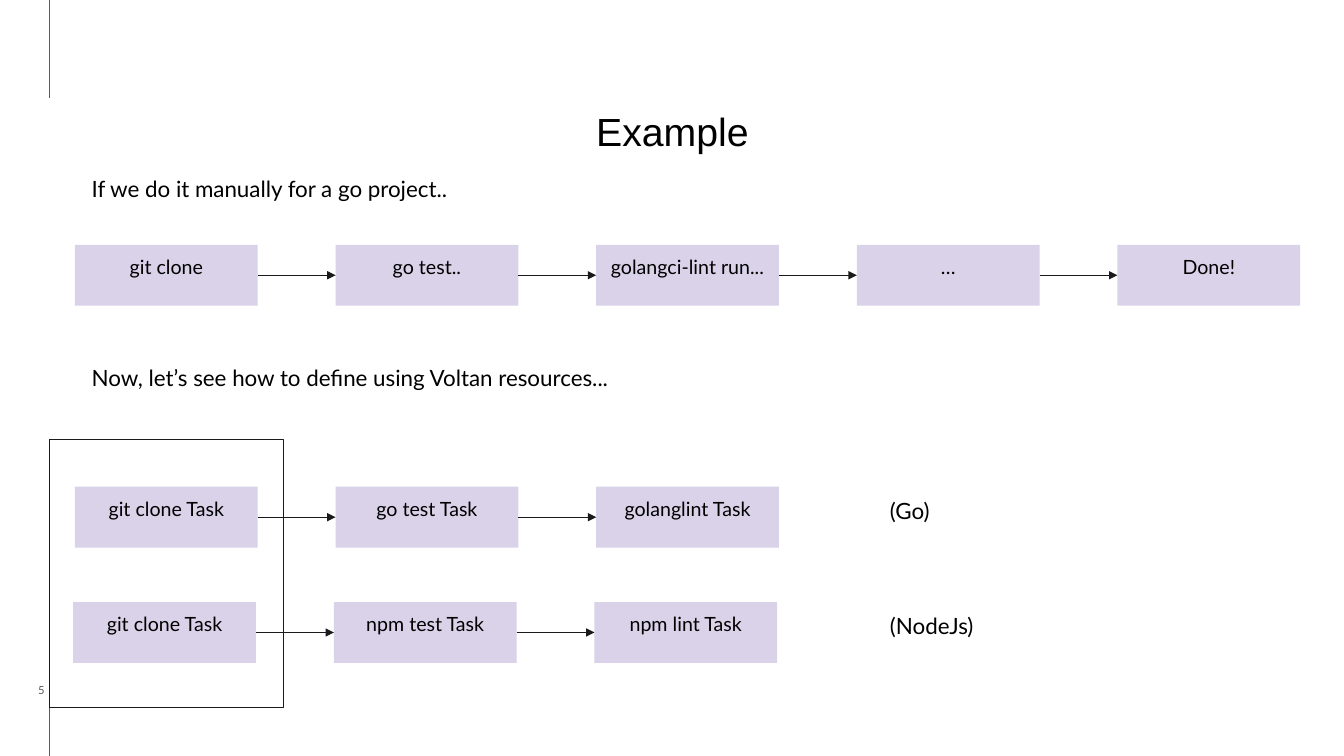
from lxml.etree import SubElement as Sub
from pptx import Presentation as Deck
from pptx.dml.color import RGBColor as RGB
from pptx.enum.shapes import MSO_CONNECTOR as Link, MSO_SHAPE as Kind
from pptx.enum.text import MSO_ANCHOR as Anchor, MSO_AUTO_SIZE as Fit, PP_ALIGN as Align
from pptx.oxml.ns import qn
from pptx.util import Inches, Pt

BLACK = RGB(0x00, 0x00, 0x00)
INK = RGB(0x1A, 0x1A, 0x1A)
GREY = RGB(0x59, 0x59, 0x59)
LILAC = RGB(0xD9, 0xD2, 0xE9)

LEFT, STEP = 5.58, 19.39
WIDE, HIGH = 13.6, 8.06
RULE = 3.68
LABEL = 65.48

FLOWS = [
    (LEFT, 32.38, ["git clone", "go test..", "golangci-lint run...", "…", "Done!"], None),
    (LEFT, 64.38, ["git clone Task", "go test Task", "golanglint Task"], "(Go)"),
    (LEFT - 0.13, 79.63, ["git clone Task", "npm test Task", "npm lint Task"], "(NodeJs)"),
]


class Page:
    """Draws styled elements on one slide, with lengths in percent of its size."""

    def __init__(self, deck):
        self.wide, self.high = deck.slide_width, deck.slide_height
        self.slide = deck.slides.add_slide(deck.slide_layouts[5])
        self.shapes = self.slide.shapes

    def place(self, *spots):
        """Turn alternating x and y shares into lengths."""
        sides = (self.wide, self.high)
        return [round(spot * sides[i % 2] / 100) for i, spot in enumerate(spots)]

    def label(self, shape, text, size, color=BLACK, font="Lato", align=Align.LEFT,
              pad=0.1, anchor=Anchor.TOP, fit=Fit.NONE):
        """Fill a shape with one styled paragraph."""
        frame = shape.text_frame
        frame.text = text
        frame.word_wrap = True
        frame.auto_size = fit
        frame.vertical_anchor = anchor
        frame.margin_left = frame.margin_right = Inches(pad)
        frame.margin_top = frame.margin_bottom = Inches(pad)
        para = frame.paragraphs[0]
        para.alignment = align
        style = para.runs[0].font
        style.name, style.size = font, Pt(size)
        style.color.rgb = color
        return para

    def title(self, text, *area):
        """Move and format the title placeholder."""
        head = self.shapes.title
        head.left, head.top, head.width, head.height = self.place(*area)
        para = self.label(head, text, 28, font="Arial", align=Align.CENTER, pad=0)
        para.line_spacing = 1.3

    def note(self, text, *area):
        """Add a line of running text."""
        box = self.shapes.add_textbox(*self.place(*area))
        self.label(box, text, 16, fit=Fit.SHAPE_TO_FIT_TEXT)

    def number(self, text, *area):
        """Add the page number."""
        box = self.shapes.add_textbox(*self.place(*area))
        self.label(box, text, 8, GREY, align=Align.CENTER, pad=0, anchor=Anchor.BOTTOM)

    def card(self, text, x, y):
        """Add one filled step of a flow."""
        box = self.shapes.add_shape(Kind.RECTANGLE, *self.place(x, y, WIDE, HIGH))
        box.shadow.inherit = False
        box.fill.solid()
        box.fill.fore_color.rgb = LILAC
        box.line.fill.background()
        self.label(box, text, 14, align=Align.CENTER)

    def frame(self, *area):
        """Add an outlined rectangle without fill."""
        box = self.shapes.add_shape(Kind.RECTANGLE, *self.place(*area))
        box.shadow.inherit = False
        box.fill.background()
        box.line.color.rgb = INK
        box.line.width = Pt(0.75)

    def line(self, *ends, color=GREY, arrow=False):
        """Add a thin straight line, with an arrowhead if asked."""
        link = self.shapes.add_connector(Link.STRAIGHT, *self.place(*ends))
        link.line.color.rgb = color
        link.line.width = Pt(0.75)
        props = link._element.spPr
        if arrow:
            Sub(props.find(qn("a:ln")), qn("a:tailEnd"), type="triangle")
        Sub(props, qn("a:effectLst"))

    def flow(self, left, top, steps, label):
        """Add a row of cards joined by arrows, and its label."""
        mid = top + HIGH / 2
        for i, step in enumerate(steps):
            x = left + i * STEP
            self.card(step, x, top)
            if i:
                self.line(x - STEP + WIDE, mid, x, mid, color=INK, arrow=True)
        if label:
            self.note(label, LABEL, top, 11.25, 6.27)


def main():
    deck = Deck()
    deck.slide_width, deck.slide_height = Inches(13.33), Inches(7.5)
    page = Page(deck)
    page.line(RULE, 12.93, RULE, 0)
    page.line(RULE, 100, RULE, 93.33)
    page.number("5", 0.08, 90, 6, 2.13)
    page.title("Example", 7.28, 12.27, 85.5, 8)
    page.note("If we do it manually for a go project..", 6.08, 21.87, 33.4, 6.27)
    page.note("Now, let’s see how to define using Voltan resources...", 6.08, 46.8, 44.95, 6.27)
    for flow in FLOWS:
        page.flow(*flow)
    page.frame(RULE, 58.13, 17.45, 35.47)
    deck.save("out.pptx")


if __name__ == "__main__":
    main()
